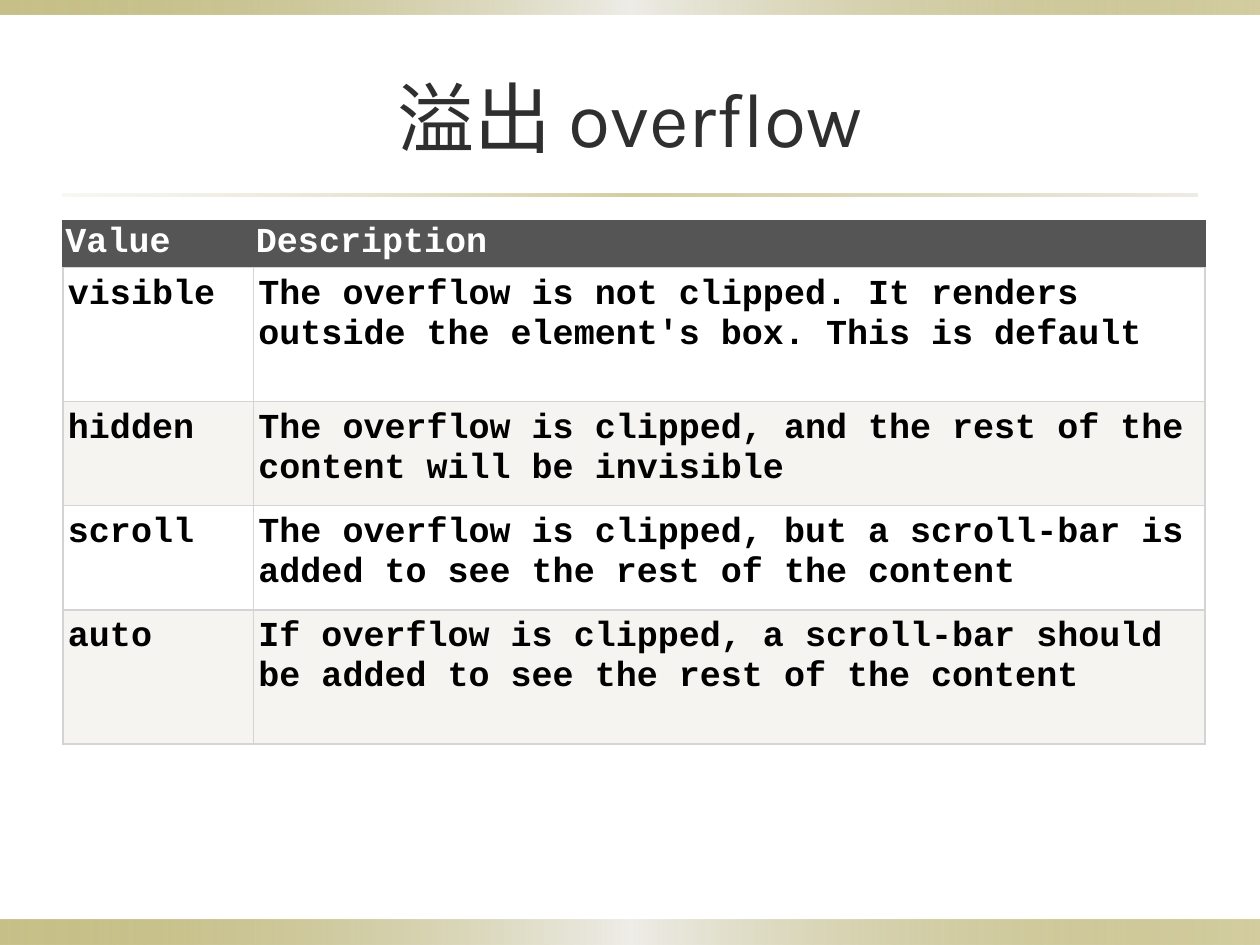
from lxml import etree
from pptx import Presentation
from pptx.dml.color import RGBColor
from pptx.enum.shapes import MSO_SHAPE
from pptx.enum.text import MSO_ANCHOR, PP_ALIGN
from pptx.oxml.ns import qn
from pptx.util import Cm, Pt

RECT = MSO_SHAPE.RECTANGLE
MIDDLE = MSO_ANCHOR.MIDDLE
CENTER = PP_ALIGN.CENTER

COLORS = {
    "olive": "918415",
    "pale": "EEEDE8",
    "sand": "DCD9CC",
    "title": "2F2F2F",
    "head": "555555",
    "white": "FFFFFF",
    "band": "F6F4F0",
    "text": "000000",
    "grid": "D4D4D4",
}
BAND = [("olive", 50), ("pale", 100), ("olive", 40)]
RULE = [("sand", 20), ("olive", 40), ("sand", 50)]
ROWS = [
    ("Value", "Description"),
    ("visible", "The overflow is not clipped. It renders outside the element's box. This is default"),
    ("hidden", "The overflow is clipped, and the rest of the content will be invisible"),
    ("scroll", "The overflow is clipped, but a scroll-bar is added to see the rest of the content"),
    ("auto", "If overflow is clipped, a scroll-bar should be added to see the rest of the content"),
]
WIDTHS = [3.84, 19.18]
HEIGHTS = [0.74, 2.7, 2.1, 2.1, 2.7]


def color(name):
    return RGBColor.from_string(COLORS[name])


def style(par, font, size, name, bold=False):
    par.font.name = font
    par.font.size = Pt(size)
    par.font.bold = bold
    par.font.color.rgb = color(name)


def add_bar(slide, left, top, width, height, stops):
    bar = slide.shapes.add_shape(RECT, Cm(left), Cm(top), Cm(width), Cm(height))
    bar.shadow.inherit = False
    bar.line.fill.background()
    bar.fill.gradient()
    bar.fill.gradient_angle = 0
    group = bar.element.spPr.find(".//" + qn("a:gsLst"))
    for old in list(group):
        group.remove(old)
    for i, (name, alpha) in enumerate(stops):
        stop = etree.SubElement(group, qn("a:gs"), pos=str(i * 50000))
        tint = etree.SubElement(stop, qn("a:srgbClr"), val=COLORS[name])
        etree.SubElement(tint, qn("a:alpha"), val=str(alpha * 1000))


def add_title(slide, text):
    box = slide.shapes.add_textbox(Cm(1.27), Cm(0.76), Cm(22.86), Cm(3.18))
    frame = box.text_frame
    frame.word_wrap = True
    frame.vertical_anchor = MIDDLE
    par = frame.paragraphs[0]
    par.text = text
    par.alignment = CENTER
    style(par, "Karla", 44, "title")


def add_edge(cell, side, name):
    props = cell._tc.get_or_add_tcPr()
    line = etree.SubElement(props, qn("a:ln" + side), w=str(Pt(0.75)))
    fill = etree.SubElement(line, qn("a:solidFill"))
    etree.SubElement(fill, qn("a:srgbClr"), val=COLORS[name])


def fill_cell(cell, text, row):
    head = row == 0
    cell.margin_left = cell.margin_right = Cm(0.05 if head else 0.1)
    cell.margin_top = cell.margin_bottom = Cm(0.05 if head else 0.15)
    for side in "LRTB":
        add_edge(cell, side, "head" if head and side != "B" else "grid")
    cell.fill.solid()
    cell.fill.fore_color.rgb = color("head" if head else "white" if row % 2 else "band")
    par = cell.text_frame.paragraphs[0]
    par.text = text
    style(par, "Courier New", 20, "white" if head else "text", True)


def add_grid(slide):
    frame = slide.shapes.add_table(
        len(ROWS), len(WIDTHS), Cm(1.27), Cm(4.45), Cm(sum(WIDTHS)), Cm(sum(HEIGHTS)))
    table = frame.table
    table.first_row = table.horz_banding = False
    for col, width in zip(table.columns, WIDTHS):
        col.width = Cm(width)
    for r, (texts, height) in enumerate(zip(ROWS, HEIGHTS)):
        table.rows[r].height = Cm(height)
        for c, text in enumerate(texts):
            fill_cell(table.cell(r, c), text, r)


def main():
    deck = Presentation()
    deck.slide_width, deck.slide_height = Cm(25.4), Cm(19.05)
    slide = deck.slides.add_slide(deck.slide_layouts[6])
    add_bar(slide, 0, 18.54, 25.4, 0.51, BAND)
    add_bar(slide, 0, 0, 25.4, 0.3, BAND)
    add_bar(slide, 1.27, 3.91, 22.86, 0.05, RULE)
    add_title(slide, "溢出 overﬂow")
    add_grid(slide)
    deck.save("out.pptx")


if __name__ == "__main__":
    main()
